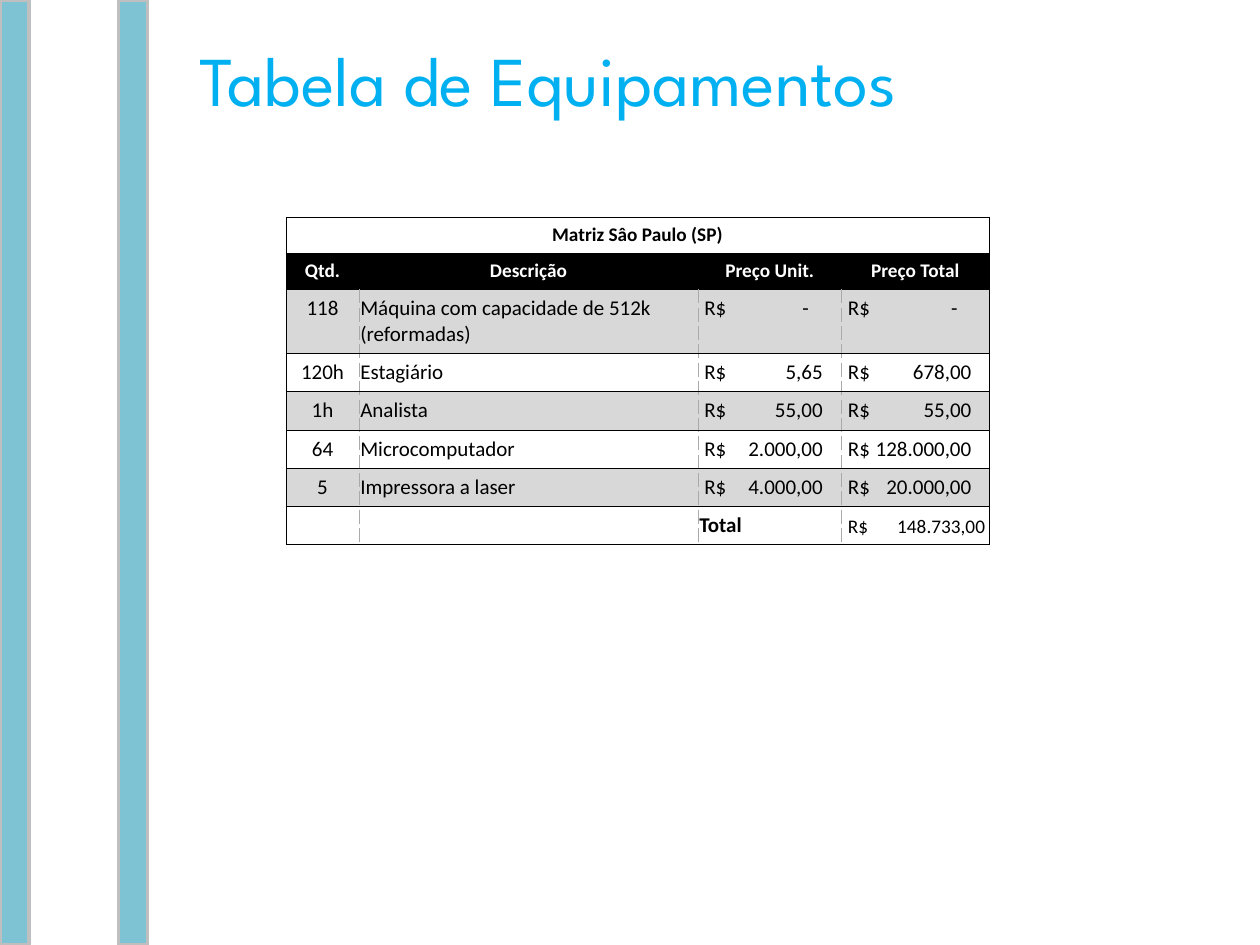
from lxml import etree
from pptx import Presentation
from pptx import util as u
from pptx.dml.color import RGBColor
from pptx.enum import shapes, text
from pptx.oxml.ns import qn

COLORS = {"bar": "7EC3D4", "bar_line": "BFBFBF", "title": "00B0F0",
          "black": "000000", "white": "FFFFFF", "band": "D8D8D8", "dash": "AAAAAA"}
C = {name: RGBColor.from_string(value) for name, value in COLORS.items()}


def add_border(cell, side, color, dash):
    ln = etree.SubElement(cell._tc.get_or_add_tcPr(), qn("a:" + side), w=str(u.Pt(0.23)))
    fill = etree.SubElement(ln, qn("a:solidFill"))
    etree.SubElement(fill, qn("a:srgbClr"), val=COLORS[color])
    etree.SubElement(ln, qn("a:prstDash"), val=dash)


def add_right_tab(p, inches):
    tabs = etree.SubElement(p._p.get_or_add_pPr(), qn("a:tabLst"))
    etree.SubElement(tabs, qn("a:tab"), pos=str(u.Inches(inches)), algn="r")


prs = Presentation()
prs.slide_width, prs.slide_height = u.Inches(10), u.Inches(7.5)
s = prs.slides.add_slide(prs.slide_layouts[5])

# Vertical bars
for left in (0, 0.94):
    sp = s.shapes.add_shape(shapes.MSO_SHAPE.RECTANGLE, u.Inches(left), 0,
                            u.Inches(0.23), prs.slide_height)
    sp.shadow.inherit = False
    sp.fill.solid()
    sp.fill.fore_color.rgb = C["bar"]
    sp.line.color.rgb = C["bar_line"]
    sp.line.width = u.Pt(2)

# Title
title = s.shapes.title
title.left, title.top = u.Inches(1.48), 0
title.width, title.height = u.Inches(8.2), u.Inches(1.25)
tf = title.text_frame
tf.text = "Tabela de Equipamentos"
tf.vertical_anchor = text.MSO_ANCHOR.MIDDLE
p = tf.paragraphs[0]
p.alignment = text.PP_ALIGN.LEFT
p.font.name, p.font.size = "League Spartan", u.Pt(40)
p.font.color.rgb = C["title"]

# Equipment table: amounts are set with a right tab after the currency sign
rows = [
    ("Matriz Sâo Paulo (SP)", "", "", ""),
    ("Qtd.", "Descrição", "Preço Unit.", "Preço Total"),
    ("118", "Máquina com capacidade de 512k (reformadas)", "R$\t-", "R$\t-"),
    ("120h", "Estagiário", "R$\t5,65", "R$\t678,00"),
    ("1h", "Analista", "R$\t55,00", "R$\t55,00"),
    ("64", "Microcomputador", "R$\t2.000,00", "R$\t128.000,00"),
    ("5", "Impressora a laser", "R$\t4.000,00", "R$\t20.000,00"),
    ("", "", "Total", "R$\t148.733,00"),
]
widths = [0.58, 2.69, 1.14, 1.17]
heights = [0.21, 0.21, 0.44] + [0.22] * 5
last_row, last_col = len(rows) - 1, len(widths) - 1
table = s.shapes.add_table(len(rows), len(widths), u.Inches(2.27), u.Inches(1.72),
                           u.Inches(sum(widths)), u.Inches(sum(heights))).table
table.first_row = table.horz_banding = False
for column, width in zip(table.columns, widths):
    column.width = u.Inches(width)
for row, height in zip(table.rows, heights):
    row.height = u.Inches(height)
table.cell(0, 0).merge(table.cell(0, last_col))

for i, row in enumerate(rows):
    heading = i < 2
    for j, value in enumerate(row):
        cell = table.cell(i, j)
        amount = "\t" in value
        grand_total = i == last_row and amount

        # Borders: solid outside and between rows, dashed between body columns
        for side, outer in (("lnL", j == 0), ("lnR", j == last_col),
                            ("lnT", True), ("lnB", True)):
            solid = heading or outer
            add_border(cell, side, "black" if solid else "dash",
                       "solid" if solid else "dash")

        # Fill: black heading, alternate grey rows
        if i == 1 or i in (2, 4, 6):
            cell.fill.solid()
            cell.fill.fore_color.rgb = C["black" if i == 1 else "band"]
        else:
            cell.fill.background()

        # Text
        cell.margin_left = u.Inches(0.05 if amount else 0.01)
        cell.margin_right = u.Inches(0.01)
        cell.vertical_anchor = (text.MSO_ANCHOR.BOTTOM if heading or grand_total
                                else text.MSO_ANCHOR.TOP)
        p = cell.text_frame.paragraphs[0]
        if value:
            p.add_run().text = value
        if amount:
            stop = 0.94 if j == 2 else 0.98
            if value.endswith("-"):
                stop -= 0.11
            add_right_tab(p, 1.09 if grand_total else stop)
        p.alignment = (text.PP_ALIGN.CENTER if heading or j == 0
                       else text.PP_ALIGN.LEFT)
        size = u.Pt(11 if heading or grand_total else 12)
        p.font.name, p.font.size = "Calibri", size
        p.font.bold = heading or value == "Total"
        p.font.color.rgb = C["white" if i == 1 else "black"]
        if not value:
            etree.SubElement(p._p, qn("a:endParaRPr"), sz=str(int(size.pt * 100)))

prs.save("out.pptx")
